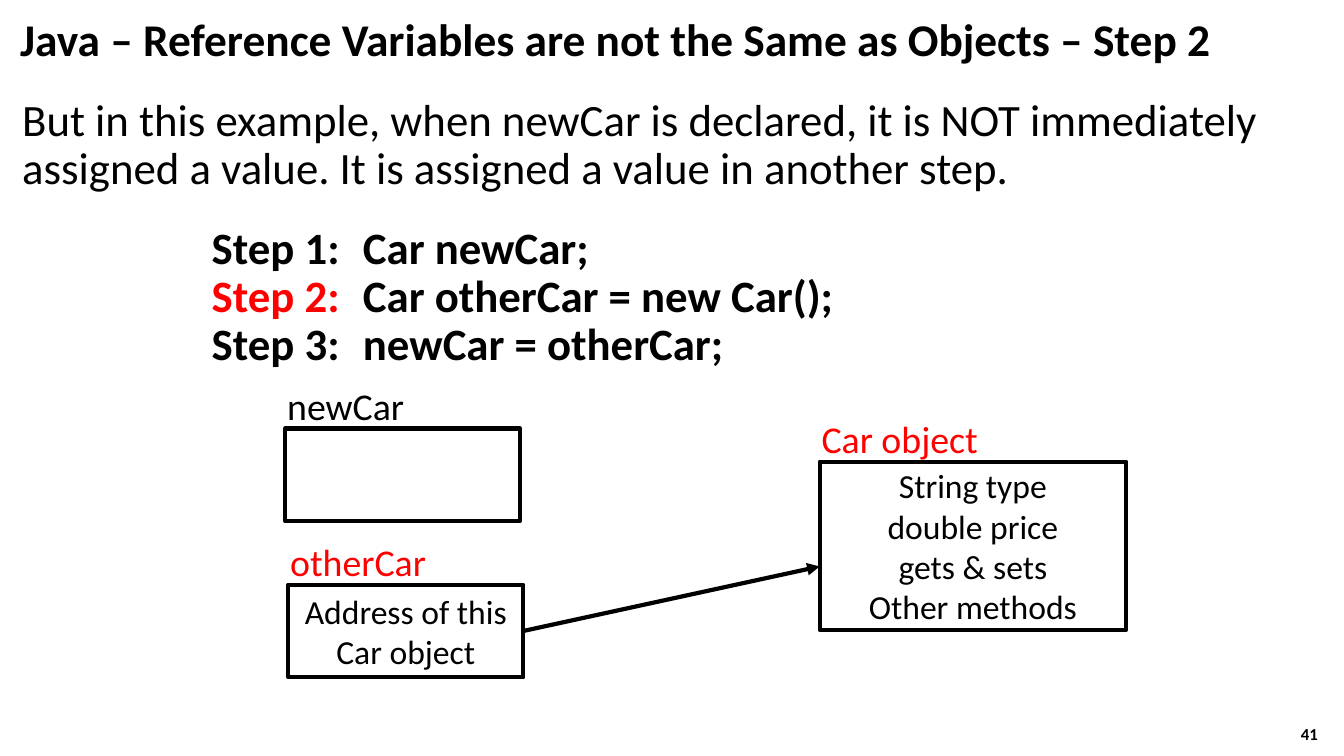
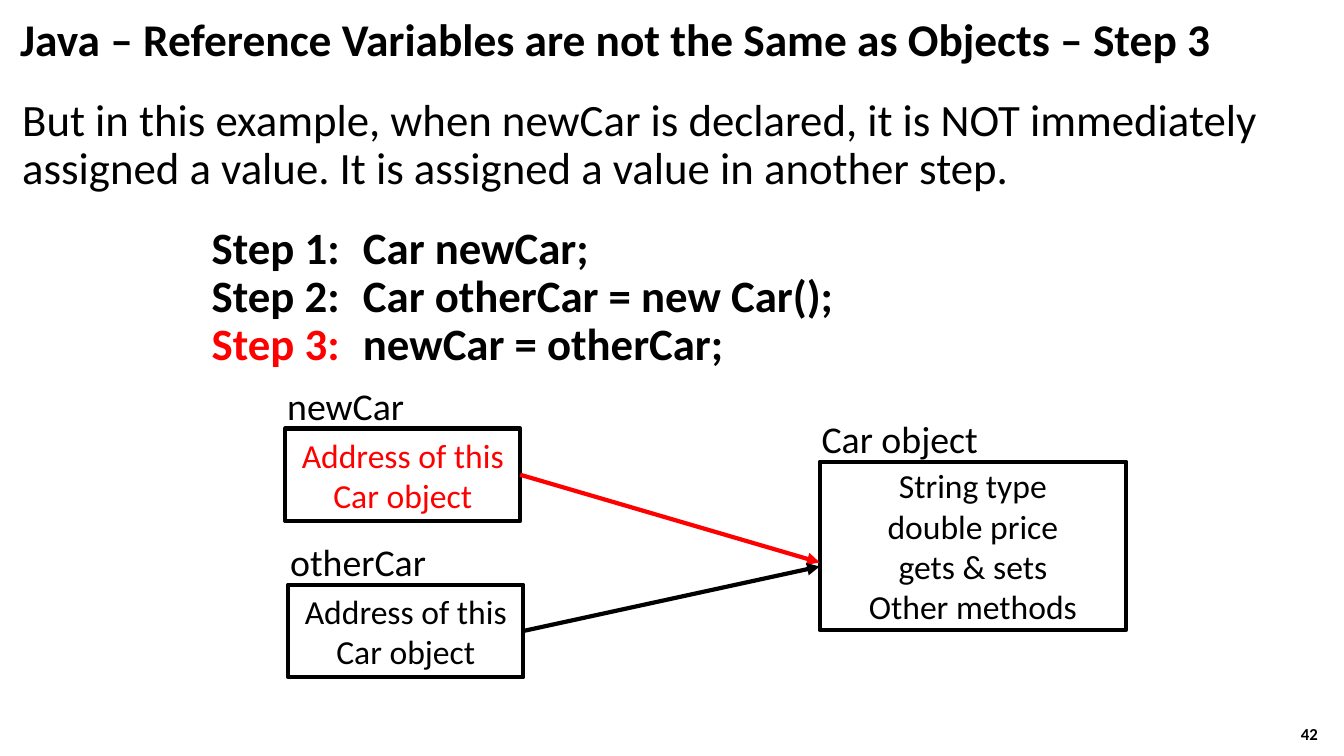
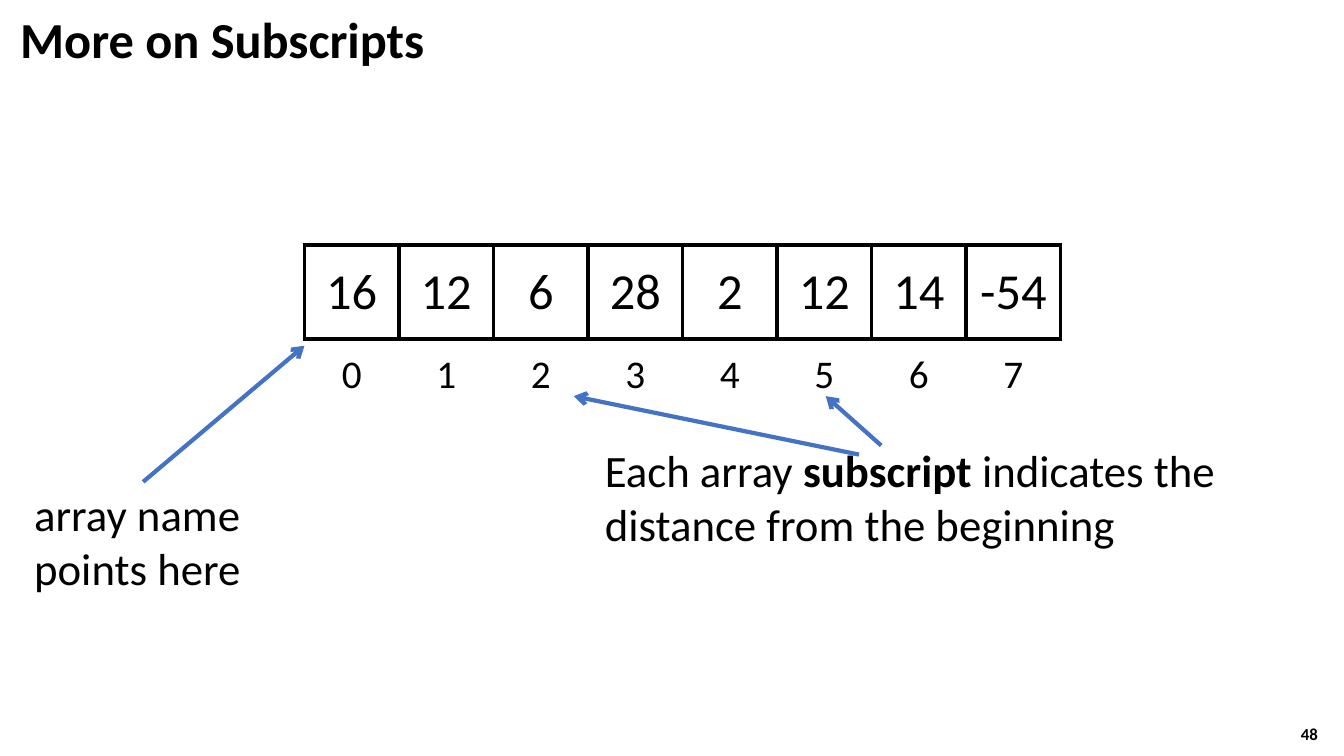
from lxml import etree
from pptx import Presentation
from pptx.dml.color import RGBColor
from pptx.enum.shapes import MSO_CONNECTOR as Link, MSO_SHAPE as Preset
from pptx.enum.text import MSO_ANCHOR as Anchor, MSO_AUTO_SIZE as Fit, PP_ALIGN as Align
from pptx.oxml.ns import qn
from pptx.util import Inches, Pt

BLACK = RGBColor(0x00, 0x00, 0x00)
RED = RGBColor(0xFF, 0x00, 0x00)
BLUE = RGBColor(0x44, 0x72, 0xC4)
FONT = "Calibri"
STROKE = Pt(3)
RIGHT_SIDE = 3


def write(paragraph, text, size=32, color=BLACK, bold=False, align=None):
    """Append text to a paragraph; each newline becomes a line break."""
    if align is not None:
        paragraph.alignment = align
    for index, line in enumerate(text.split("\n")):
        if index:
            paragraph.add_line_break()
        if line:
            run = paragraph.add_run()
            run.text = line
            run.font.name, run.font.size = FONT, Pt(size)
            run.font.bold, run.font.color.rgb = bold, color


class Deck:
    """Holds the shared style and the slide being built."""

    def __init__(self):
        self.prs = Presentation()
        self.prs.slide_width, self.prs.slide_height = Inches(13.33), Inches(7.5)
        self.slide = None

    def start(self, heading, number, size=36, with_body=False):
        layout = self.prs.slide_layouts[1 if with_body else 5]
        self.slide = self.prs.slides.add_slide(layout)
        title = self.slide.shapes.title
        frame = self.place(title, 0, 0, 13.33, 0.83)
        frame.vertical_anchor = Anchor.MIDDLE
        frame.margin_left = Inches(0.2)
        frame.paragraphs[0].line_spacing = 0.9
        write(frame.paragraphs[0], heading, size=size, bold=True, align=Align.LEFT)
        footer = self.text_box(12.17, 7.08, 1, 0.4)
        footer.vertical_anchor = Anchor.MIDDLE
        write(footer.paragraphs[0], str(number), size=12, bold=True, align=Align.RIGHT)

    def place(self, holder, left, top, width, height):
        holder.left, holder.top = Inches(left), Inches(top)
        holder.width, holder.height = Inches(width), Inches(height)
        frame = holder.text_frame
        frame.auto_size, frame.word_wrap = Fit.NONE, True
        return frame

    def body(self):
        frame = self.place(self.slide.placeholders[1], 0, 0.92, 13.33, 6.1)
        frame.vertical_anchor = Anchor.TOP
        return frame

    def plain(self, paragraph, indent, tabs=()):
        """Body paragraph without a bullet, indented, with tab stops."""
        props = paragraph._p.get_or_add_pPr()
        props.set("marL", str(Inches(indent)))
        props.set("indent", "0")
        etree.SubElement(props, qn("a:buNone"))
        if tabs:
            stops = etree.SubElement(props, qn("a:tabLst"))
            for stop in tabs:
                etree.SubElement(stops, qn("a:tab"), pos=str(Inches(stop)), algn="l")
        paragraph.alignment = Align.LEFT
        paragraph.line_spacing = 0.9
        paragraph.space_before = Pt(0)

    def text_box(self, left, top, width, height, wrap=True):
        box = self.slide.shapes.add_textbox(
            Inches(left), Inches(top), Inches(width), Inches(height))
        box.text_frame.word_wrap = wrap
        if not wrap:
            box.text_frame.auto_size = Fit.SHAPE_TO_FIT_TEXT
        return box.text_frame

    def labelled_box(self, label, lines, left, top, width, height, label_width,
                     label_color=BLACK, color=BLACK):
        box = self.slide.shapes.add_shape(
            Preset.RECTANGLE, Inches(left), Inches(top), Inches(width), Inches(height))
        box.shadow.inherit = False
        box.fill.background()
        box.line.color.rgb, box.line.width = BLACK, STROKE
        frame = box.text_frame
        frame.vertical_anchor = Anchor.MIDDLE
        for index, line in enumerate(lines):
            paragraph = frame.add_paragraph() if index else frame.paragraphs[0]
            write(paragraph, line, size=24, color=color, align=Align.CENTER)
        caption = self.text_box(left - 0.08, top - 0.5, label_width, 0.56, wrap=False)
        write(caption.paragraphs[0], label, size=27, color=label_color)
        return box

    def arrow(self, start, end, color=BLACK, head="triangle", source=None):
        line = self.slide.shapes.add_connector(
            Link.STRAIGHT, *(Inches(value) for value in (*start, *end)))
        if source is not None:
            line.begin_connect(source, RIGHT_SIDE)
        line.line.color.rgb, line.line.width = color, STROKE
        etree.SubElement(line.line._get_or_add_ln(), qn("a:tailEnd"), type=head)
        etree.SubElement(line._element.spPr, qn("a:effectLst"))

    def number_row(self, values, top, height, size, anchor, border=False):
        table = self.slide.shapes.add_table(
            1, len(values), Inches(3.02), Inches(top), Inches(7.5), Inches(height)).table
        table.first_row = table.horz_banding = False
        for cell, value in zip(table.rows[0].cells, values):
            cell.fill.background()
            cell.vertical_anchor = anchor
            write(cell.text_frame.paragraphs[0], str(value), size=size, align=Align.CENTER)
            if border:
                self.outline(cell)

    def outline(self, cell):
        props = cell._tc.get_or_add_tcPr()
        for index, side in enumerate(("lnL", "lnR", "lnT", "lnB")):
            edge = etree.Element(qn("a:" + side), w=str(STROKE))
            paint = etree.SubElement(edge, qn("a:solidFill"))
            etree.SubElement(paint, qn("a:srgbClr"), val=str(BLACK))
            props.insert(index, edge)


def reference_slide(deck, step, number):
    """Steps 2 and 3 of the example; what the step changes is red."""
    deck.start(f"Java – Reference Variables are not the Same as Objects – Step {step}",
               number, size=32.4, with_body=True)

    # Explanation and code steps
    body = deck.body()
    intro = body.paragraphs[0]
    deck.plain(intro, 0.12)
    write(intro, "But in this example, when newCar is declared, it is NOT immediately "
                 "assigned a value. It is assigned a value in another step.")
    steps = body.add_paragraph()
    deck.plain(steps, 2, tabs=(2, 4))
    steps.space_before = Pt(22)
    statements = ("Car newCar;", "Car otherCar = new Car();", "newCar = otherCar;")
    for index, statement in enumerate(statements, start=1):
        if index > 1:
            steps.add_line_break()
        write(steps, f"Step {index}:", bold=True, color=RED if index == step else BLACK)
        write(steps, "\t" + statement, bold=True)

    # Variables and the object they refer to
    fresh = RED if step == 2 else BLACK
    address = ["Address of this Car object"]
    new_car = deck.labelled_box("newCar", address if step == 3 else [],
                                2.83, 4.25, 2.33, 0.92, 1.37, color=RED)
    other_car = deck.labelled_box("otherCar", address, 2.86, 5.8, 2.33, 0.92, 1.56,
                                  label_color=fresh)
    deck.labelled_box("Car object",
                      ["String type", "double price", "gets & sets", "Other methods"],
                      8.13, 4.58, 3.04, 1.67, 1.76, label_color=fresh)

    # References
    if step == 3:
        deck.arrow((5.17, 4.71), (8.13, 5.58), color=RED, source=new_car)
    deck.arrow((5.19, 6.26), (8.13, 5.62), source=other_car)


def subscripts_slide(deck):
    deck.start("More on Subscripts", 48)

    # Array values above their subscripts
    values = (16, 12, 6, 28, 2, 12, 14, -54)
    deck.number_row(values, 2.43, 0.93, 36, Anchor.MIDDLE, border=True)
    deck.number_row(range(len(values)), 3.43, 0.58, 28, Anchor.TOP)

    # Explanations
    array_name = deck.text_box(0.24, 4.78, 2.37, 1.18, wrap=False)
    write(array_name.paragraphs[0], "array name\npoints here")
    subscript = deck.text_box(5.9, 4.34, 6.53, 1.18).paragraphs[0]
    write(subscript, "Each array ")
    write(subscript, "subscript", bold=True)
    write(subscript, " indicates the\ndistance from the beginning")

    # Pointers
    for start, end in (((1.42, 4.78), (3.02, 3.43)),
                       ((8.52, 4.51), (5.69, 3.93)),
                       ((8.74, 4.42), (8.19, 3.93))):
        deck.arrow(start, end, color=BLUE, head="arrow")


def main():
    deck = Deck()
    reference_slide(deck, 2, 41)
    reference_slide(deck, 3, 42)
    subscripts_slide(deck)
    deck.prs.save("out.pptx")


if __name__ == "__main__":
    main()
